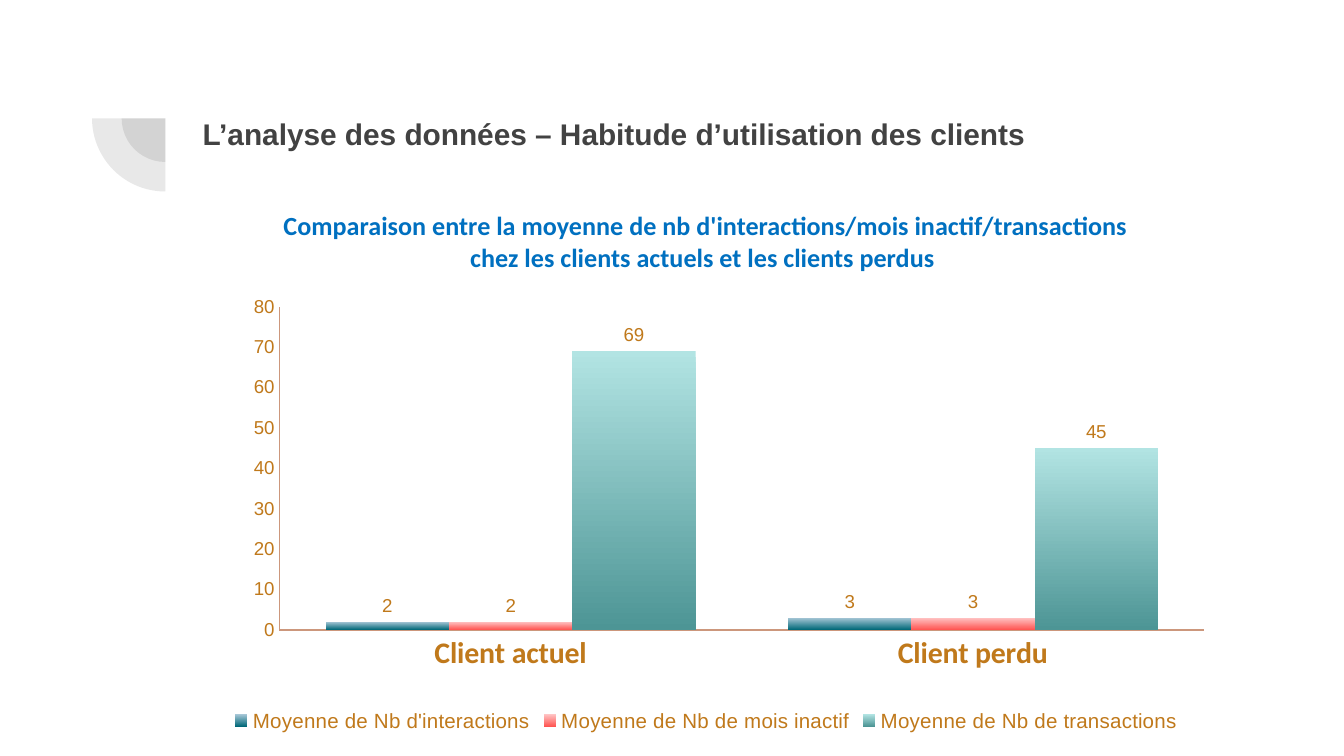
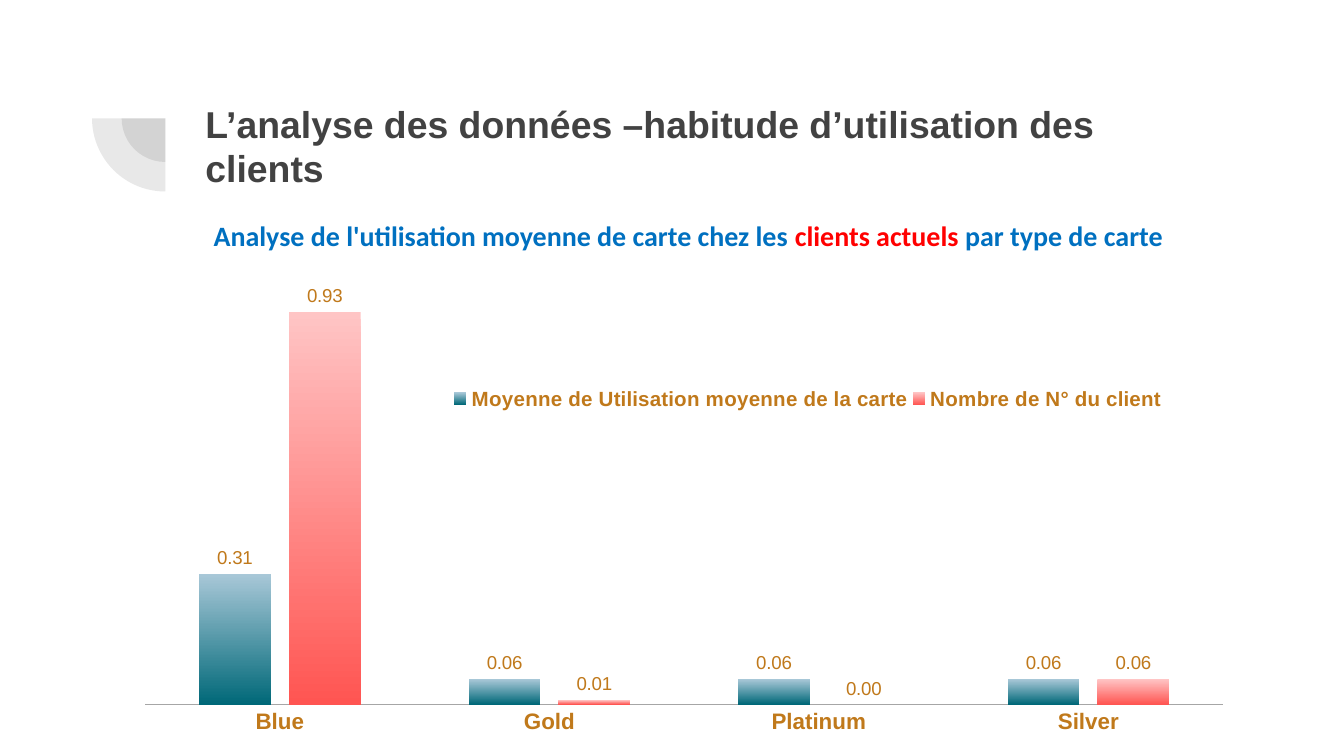
from pptx import Presentation
from pptx.chart.data import CategoryChartData
from pptx.dml.color import RGBColor
from pptx.enum.chart import XL_CHART_TYPE, XL_LABEL_POSITION, XL_LEGEND_POSITION, XL_TICK_MARK
from pptx.enum.shapes import MSO_SHAPE
from pptx.enum.text import MSO_ANCHOR, PP_ALIGN
from pptx.oxml.ns import qn
from pptx.util import Inches, Pt
from lxml.etree import SubElement, Element

WHITE = RGBColor(0xFF, 0xFF, 0xFF)
DARK = RGBColor(0x42, 0x42, 0x42)
BLUE = RGBColor(0x00, 0x70, 0xC0)
RED = RGBColor(0xFF, 0x00, 0x00)
OCHRE = RGBColor(0xC0, 0x79, 0x1B)
TAN = RGBColor(0xCC, 0x97, 0x7C)
GREY = RGBColor(0xA6, 0xA6, 0xA6)
# Top and bottom colour of each series' bars
BARS = [
    (RGBColor(0xA9, 0xC8, 0xD8), RGBColor(0x00, 0x68, 0x78)),
    (RGBColor(0xFF, 0xC5, 0xC5), RGBColor(0xFF, 0x55, 0x52)),
    (RGBColor(0xB2, 0xE4, 0xE3), RGBColor(0x4D, 0x95, 0x95)),
]


def inches(box):
    return [Inches(n) for n in box]


def style(font, size, color, name="Arial", bold=False):
    font.size, font.name, font.bold = Pt(size), name, bold
    font.color.rgb = color


def add_text(slide, box, parts, size, name, pad=0.1, align=PP_ALIGN.LEFT):
    """Write one paragraph of bold (text, colour) parts."""
    frame = slide.shapes.add_textbox(*inches(box)).text_frame
    frame.word_wrap = True
    frame.vertical_anchor = MSO_ANCHOR.TOP
    frame.margin_top = frame.margin_bottom = Inches(pad)
    para = frame.paragraphs[0]
    para.alignment = align
    for text, color in parts:
        run = para.add_run()
        run.text = text
        style(run.font, size, color, name, True)


def add_mark(slide, right, top):
    """Draw two quarter discs that share the corner at right, top."""
    group = slide.shapes.add_group_shape()
    for size in (0.65, 1.09):
        half = size / 2
        pie = group.shapes.add_shape(
            MSO_SHAPE.PIE, *inches((right - half, top - half, size, size)))
        pie.adjustments[0], pie.adjustments[1] = 108, 162
        pie.rotation = 270
        pie.shadow.inherit = False
        pie.line.fill.background()
        pie.fill.solid()
        pie.fill.fore_color.rgb = DARK
        tint = pie.fill._xPr.find(qn("a:solidFill"))[0]
        SubElement(tint, qn("a:alpha")).set("val", "12000")


def add_frame(prs, title, box, size):
    """Start a slide with its background, corner mark and title."""
    slide = prs.slides.add_slide(prs.slide_layouts[6])
    slide.background.fill.solid()
    slide.background.fill.fore_color.rgb = WHITE
    add_mark(slide, 1.23, 0.88)
    add_text(slide, box, [(title, DARK)], size, "Arial")
    return slide


def place(node, spot, index, inner=False):
    """Fix the place of a chart part, in fractions of the chart."""
    for old in node.findall(qn("c:layout")):
        node.remove(old)
    layout = Element(qn("c:layout"))
    node.insert(index, layout)
    manual = SubElement(layout, qn("c:manualLayout"))
    rows = [("layoutTarget", "inner")] if inner else []
    rows += [("xMode", "edge"), ("yMode", "edge"), *zip("xywh", spot)]
    for tag, val in rows:
        SubElement(manual, qn("c:" + tag)).set("val", str(val))


def draw_line(axis, color, width):
    axis.format.line.fill.solid()
    axis.format.line.fill.fore_color.rgb = color
    axis.format.line.width = Pt(width)


def add_bars(slide, box, cats, series, fmt, top, plot, gap, overlap=0):
    """Draw clustered columns with gradient fills and value labels."""
    data = CategoryChartData(number_format=fmt)
    data.categories = cats
    for name, vals in series:
        data.add_series(name, vals)
    chart = slide.shapes.add_chart(
        XL_CHART_TYPE.COLUMN_CLUSTERED, *inches(box), data).chart
    style(chart.font, 10, OCHRE)
    chart.has_title = False
    place(chart.element.xpath("//c:plotArea")[0], plot, 0, True)

    # Columns and labels
    bars = chart.plots[0]
    bars.vary_by_categories = False
    bars.gap_width, bars.overlap = gap, overlap
    for item, colors in zip(bars.series, BARS):
        fill = item.format.fill
        fill.gradient()
        fill.gradient_angle = 270
        for stop, color in zip(fill.gradient_stops, colors):
            stop.color.rgb = color
        labels = item.data_labels
        labels.show_value = True
        labels.number_format = fmt
        labels.number_format_is_linked = False
        labels.position = XL_LABEL_POSITION.OUTSIDE_END
        style(labels.font, 10, OCHRE)

    # Axes
    for axis in (chart.category_axis, chart.value_axis):
        axis.has_major_gridlines = False
        axis.major_tick_mark = axis.minor_tick_mark = XL_TICK_MARK.NONE
    scale = chart.value_axis
    scale.minimum_scale, scale.maximum_scale = 0, top
    scale.tick_labels.number_format = fmt
    scale.tick_labels.number_format_is_linked = False
    return chart


def add_legend(chart, side, bold=False):
    chart.has_legend = True
    chart.legend.position = side
    chart.legend.include_in_layout = False
    style(chart.legend.font, 11, OCHRE, bold=bold)


def habit_slide(prs):
    slide = add_frame(
        prs, "L’analyse des données – Habitude d’utilisation des clients",
        (1.41, 0.76, 7.69, 0.48), 16)
    chart = add_bars(
        slide, (1.42, 2.16, 7.67, 3.33), ["Client actuel", "Client perdu"],
        [("Moyenne de Nb d'interactions", (2, 3)),
         ("Moyenne de Nb de mois inactif", (2, 3)),
         ("Moyenne de Nb de transactions", (69, 45))],
        "0", 80, (0.086, 0.037, 0.897, 0.722), 75)
    style(chart.category_axis.tick_labels.font, 16, OCHRE, "Calibri", True)
    style(chart.value_axis.tick_labels.font, 10, OCHRE)
    chart.value_axis.major_unit = 10
    for axis in (chart.category_axis, chart.value_axis):
        draw_line(axis, TAN, 1)
    add_legend(chart, XL_LEGEND_POSITION.BOTTOM)
    add_text(
        slide, (1.84, 1.46, 6.82, 0.7),
        [("Comparaison entre la moyenne de nb d'interactions/mois inactif/"
          "transactions chez les clients actuels et les clients perdus ", BLUE)],
        14, "Calibri", align=PP_ALIGN.CENTER)


def card_slide(prs):
    slide = add_frame(
        prs, "L’analyse des données –habitude d’utilisation des clients",
        (1.43, 0.65, 7.69, 0.72), 20)
    chart = add_bars(
        slide, (0.93, 1.66, 8.33, 3.96), ["Blue", "Gold", "Platinum", "Silver"],
        [("Moyenne de Utilisation moyenne de la carte", (0.31, 0.06, 0.06, 0.06)),
         ("Nombre de N° du client", (0.93, 0.01, 0, 0.06))],
        "0.00", 1, (0.018, 0.112, 0.963, 0.793), 150, -25)
    style(chart.category_axis.tick_labels.font, 12, OCHRE, bold=True)
    draw_line(chart.category_axis, GREY, 0.75)
    chart.value_axis.visible = False
    add_legend(chart, XL_LEGEND_POSITION.TOP, True)
    place(chart.element.xpath("//c:legend")[0], (0.29, 0.3, 0.64, 0.06), 1)
    add_text(
        slide, (0.93, 1.58, 8.43, 0.35),
        [("Analyse de l'utilisation moyenne de carte chez les ", BLUE),
         ("clients actuels ", RED), ("par type de carte ", BLUE)],
        15, "Calibri", 0.05, PP_ALIGN.CENTER)


def main():
    prs = Presentation()
    # Widescreen, 16 to 9
    prs.slide_width = Inches(10)
    prs.slide_height = Inches(10 * 9 / 16)
    habit_slide(prs)
    card_slide(prs)
    prs.save("out.pptx")


if __name__ == "__main__":
    main()
